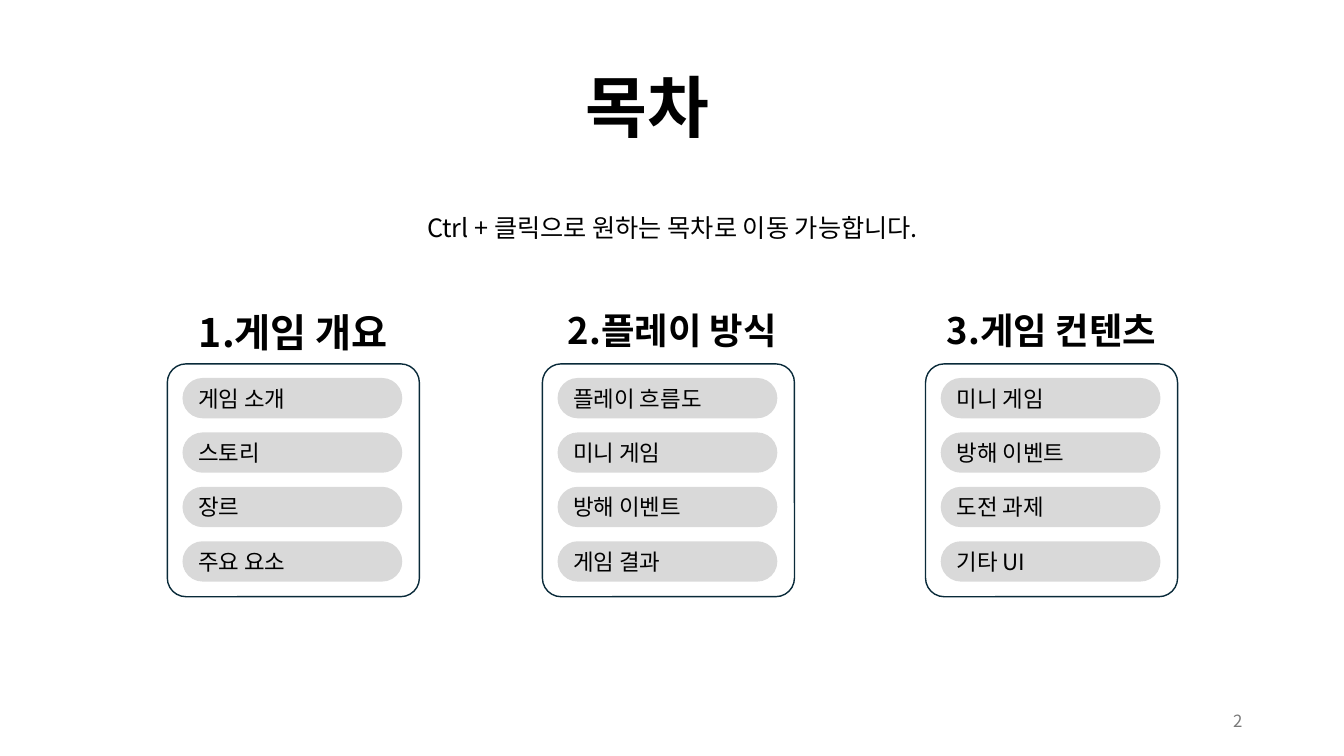
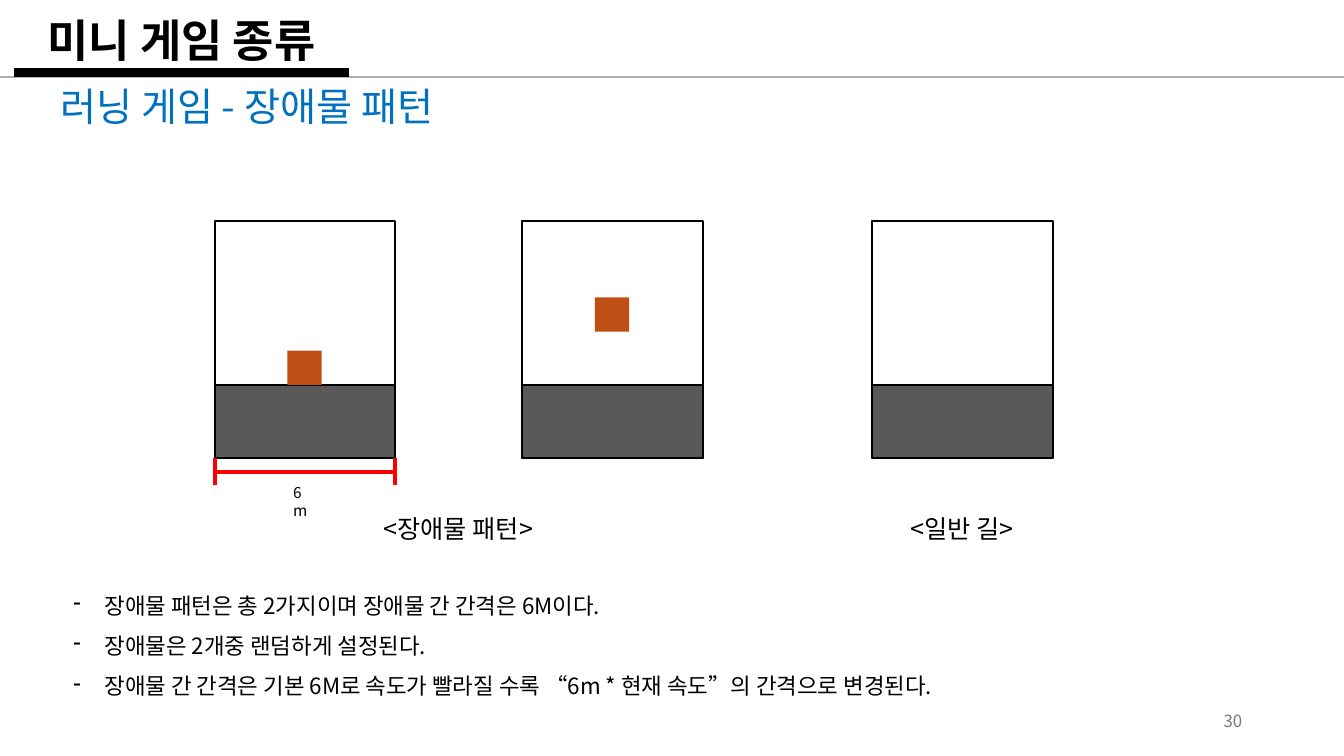
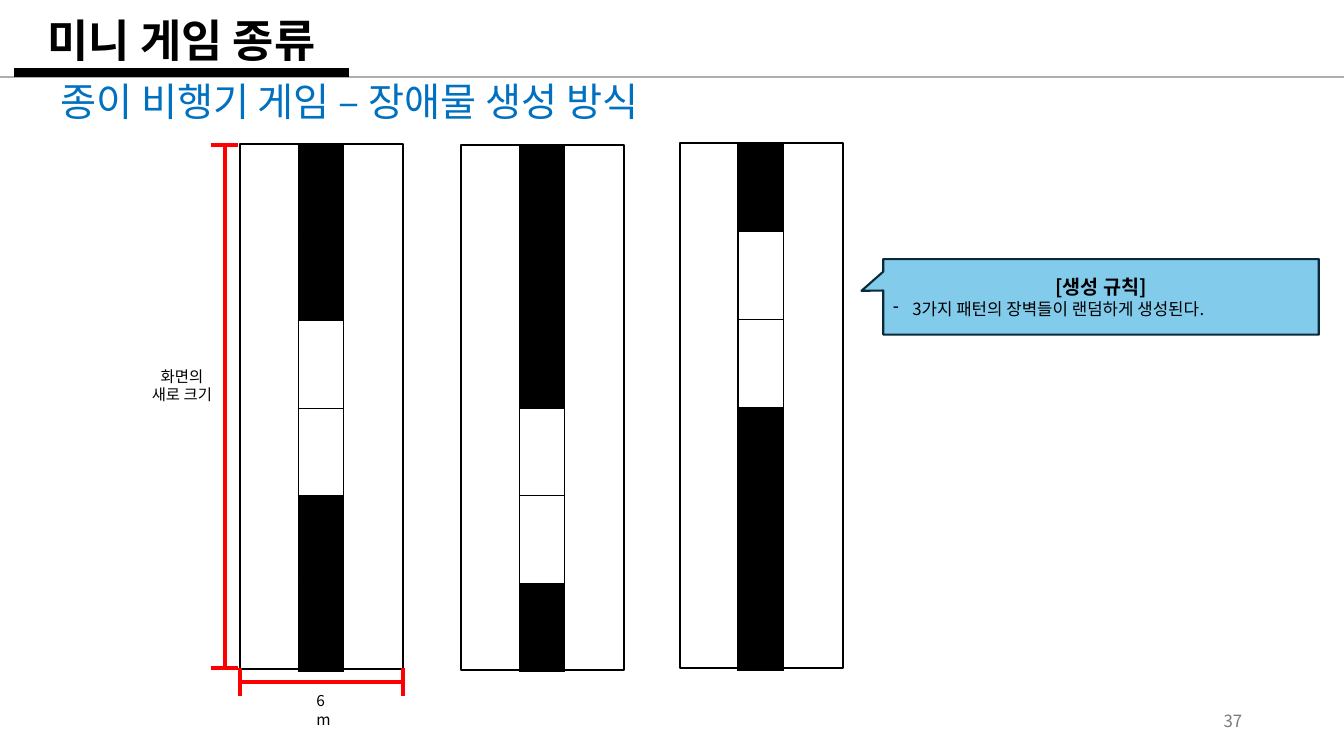
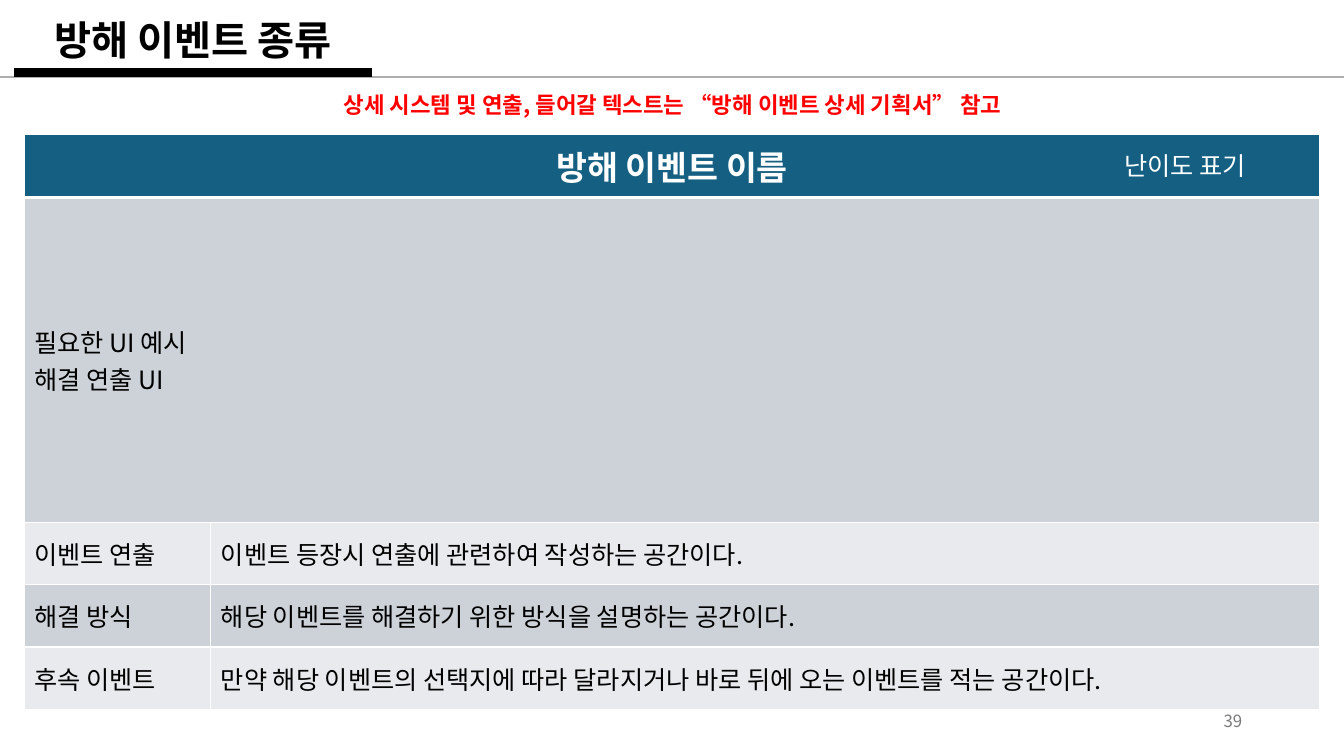
"""Build four pages of a game design document."""
from lxml import etree
from pptx import Presentation
from pptx.dml.color import RGBColor
from pptx.enum.shapes import MSO_CONNECTOR, MSO_SHAPE
from pptx.enum.text import MSO_ANCHOR as Anchor, PP_ALIGN as Align
from pptx.oxml.ns import qn
from pptx.util import Inches, Pt

FONT = "Noto Sans CJK KR"
BLACK = RGBColor(0x00, 0x00, 0x00)
WHITE = RGBColor(0xFF, 0xFF, 0xFF)
RED = RGBColor(0xFF, 0x00, 0x00)
BLUE = RGBColor(0x00, 0x70, 0xC0)
NAVY = RGBColor(0x09, 0x2A, 0x39)
TEAL = RGBColor(0x15, 0x60, 0x82)
SKY = RGBColor(0x83, 0xCB, 0xEB)
ORANGE = RGBColor(0xC0, 0x4F, 0x15)
RULE_GRAY = RGBColor(0xAE, 0xAE, 0xAE)
NUMBER_GRAY = RGBColor(0x79, 0x79, 0x79)
PILL_GRAY = RGBColor(0xD9, 0xD9, 0xD9)
GROUND_GRAY = RGBColor(0x59, 0x59, 0x59)
ROW_DARK = RGBColor(0xCC, 0xD2, 0xD8)
ROW_LIGHT = RGBColor(0xE8, 0xEA, 0xED)


def style_paragraph(para, size, color=BLACK, bold=False, align=Align.LEFT, spacing=None):
    """Format a paragraph and all its runs."""
    para.alignment = align
    if spacing:
        para.line_spacing = spacing
    for span in para.runs:
        font = span.font
        font.size = Pt(size)
        font.bold = bold
        font.color.rgb = color
        font.name = FONT
        east_asian = etree.Element(qn("a:ea"), typeface=FONT)
        font._element.find(qn("a:latin")).addnext(east_asian)


def add_dash_bullet(para, indent):
    """Give a paragraph a dash with a hanging indent."""
    properties = para._p.get_or_add_pPr()
    properties.set("marL", str(Inches(indent)))
    properties.set("indent", str(-Inches(indent)))
    etree.SubElement(properties, qn("a:buChar"), char="-")


def write(frame, text, size, anchor=Anchor.TOP, bullet=None, **style):
    """Put text in a frame, one paragraph a line."""
    frame.word_wrap = True
    frame.vertical_anchor = anchor
    frame.text = text
    for para in frame.paragraphs:
        if bullet:
            add_dash_bullet(para, bullet)
        style_paragraph(para, size, **style)


def add_text(page, at, text, size, **style):
    """Add a text box."""
    box = page.shapes.add_textbox(*map(Inches, at))
    write(box.text_frame, text, size, **style)


def add_box(page, at, fill, line=None, width=1.5, kind=MSO_SHAPE.RECTANGLE, adjust=()):
    """Add a filled preset shape with an optional outline."""
    box = page.shapes.add_shape(kind, *map(Inches, at))
    box.shadow.inherit = False
    for index, value in enumerate(adjust):
        box.adjustments[index] = value
    box.fill.solid()
    box.fill.fore_color.rgb = fill
    if line is None:
        box.line.fill.background()
    else:
        box.line.color.rgb = line
        box.line.width = Pt(width)
    return box


def add_line(page, start, end, color, width):
    """Add a straight line."""
    line = page.shapes.add_connector(MSO_CONNECTOR.STRAIGHT, *map(Inches, start + end))
    line.line.color.rgb = color
    line.line.width = Pt(width)
    etree.SubElement(line._element.spPr, qn("a:effectLst"))


def add_dimension(page, start, end, across, vertical=False):
    """Add a red measuring bar with a cap at each end."""
    far, middle = across + 0.27, across + 0.14
    for first, last in (((start, across), (start, far)),
                        ((end, across), (end, far)),
                        ((start, middle), (end, middle))):
        if vertical:
            first, last = first[::-1], last[::-1]
        add_line(page, first, last, RED, 3)


def add_page(deck, number):
    """Add a blank page with its number."""
    page = deck.slides.add_slide(deck.slide_layouts[6])
    add_text(page, (9.42, 6.95, 3, 0.4), number, 12, anchor=Anchor.MIDDLE,
             color=NUMBER_GRAY, align=Align.RIGHT)
    return page


def add_titled_page(deck, number, title, size=32, width=3.32):
    """Add a page with an underlined title."""
    page = add_page(deck, number)
    add_text(page, (0.14, 0.09, width, 0.67), title, size, anchor=Anchor.MIDDLE,
             bold=True, align=Align.CENTER, spacing=0.9)
    add_line(page, (0, 0.76), (13.33, 0.76), RULE_GRAY, 1.5)
    add_line(page, (0.14, 0.72), (0.14 + width, 0.72), BLACK, 6)
    return page


def add_table(page, left, top, columns, rows):
    """Add a table without banding and with the given sizes."""
    frame = page.shapes.add_table(len(rows), len(columns), Inches(left), Inches(top),
                                  Inches(sum(columns)), Inches(sum(rows)))
    table = frame.table
    table.first_row = table.horz_banding = False
    for column, width in zip(table.columns, columns):
        column.width = Inches(width)
    for row, height in zip(table.rows, rows):
        row.height = Inches(height)
    return table


def style_cell(cell, fill, line, top=1, bottom=1):
    """Set the borders and fill of a cell."""
    properties = cell._tc.get_or_add_tcPr()
    for side, width in (("L", 1), ("R", 1), ("T", top), ("B", bottom)):
        border = etree.SubElement(properties, qn(f"a:ln{side}"), w=str(Pt(width)))
        solid = etree.SubElement(border, qn("a:solidFill"))
        etree.SubElement(solid, qn("a:srgbClr"), val=str(line))
    if fill is None:
        cell.fill.background()
    else:
        cell.fill.solid()
        cell.fill.fore_color.rgb = fill


def add_chapter(page, left, heading, heading_left, heading_size, entries):
    """Add a contents card with its heading and entries."""
    add_box(page, (left, 3.61, 2.5, 2.31), WHITE, NAVY, 1,
            MSO_SHAPE.ROUNDED_RECTANGLE, [0.08])
    add_text(page, (heading_left, 3.01, 2.5, 0.54), heading, heading_size,
             bold=True, align=Align.CENTER)
    for index, entry in enumerate(entries):
        pill = add_box(page, (left + 0.15, 3.75 + 0.54 * index, 2.18, 0.4), PILL_GRAY,
                       kind=MSO_SHAPE.ROUNDED_RECTANGLE, adjust=[0.5])
        write(pill.text_frame, entry, 16, anchor=Anchor.MIDDLE)


def add_path(page, left, obstacle_top=None):
    """Add a stretch of path, with an obstacle if its height is given."""
    add_box(page, (left, 2.19, 1.79, 2.35), WHITE, BLACK)
    add_box(page, (left, 3.82, 1.79, 0.72), GROUND_GRAY, BLACK)
    if obstacle_top is not None:
        add_box(page, (left + 0.72, obstacle_top, 0.34, 0.34), ORANGE)


def add_wall(page, left, top, table_top, gap):
    """Add a screen with a wall of six blocks, open at two from the gap on."""
    add_box(page, (left, top, 1.62, 5.21), WHITE, BLACK)
    table = add_table(page, left + 0.58, table_top, [0.45], [0.87] * 6)
    for row in range(6):
        fill = None if row in (gap, gap + 1) else BLACK
        style_cell(table.cell(row, 0), fill, BLACK)


def build_contents(deck):
    """Build the contents page."""
    page = add_page(deck, "2")
    add_text(page, (2.63, 0.6, 7.59, 0.91), "목차", 48, bold=True, align=Align.CENTER)
    add_text(page, (3.84, 2.06, 5.66, 0.4), "Ctrl + 클릭으로 원하는 목차로 이동 가능합니다.",
             18, align=Align.CENTER)
    add_chapter(page, 1.66, "1.게임 개요", 1.66, 28,
                ["게임 소개", "스토리", "장르", "주요 요소"])
    add_chapter(page, 5.38, "2.플레이 방식", 5.42, 26,
                ["플레이 흐름도", "미니 게임", "방해 이벤트", "게임 결과"])
    add_chapter(page, 9.18, "3.게임 컨텐츠", 9.18, 26,
                ["미니 게임", "방해 이벤트", "도전 과제", "기타 UI"])


def build_running_game(deck):
    """Build the page on the obstacles of the running game."""
    page = add_titled_page(deck, "30", "미니 게임 종류")
    add_text(page, (0.5, 0.77, 4.45, 0.57), "러닝 게임 - 장애물 패턴", 28, color=BLUE)
    for left, obstacle_top in ((2.13, 3.48), (5.18, 2.95), (8.65, None)):
        add_path(page, left, obstacle_top)
    add_dimension(page, 2.13, 3.92, 4.54)
    add_text(page, (2.81, 4.74, 0.42, 0.29), "6m", 11)
    add_text(page, (3.59, 5.04, 1.91, 0.4), "<장애물 패턴>", 18, align=Align.CENTER)
    add_text(page, (8.84, 5.04, 1.4, 0.4), "<일반 길>", 18, align=Align.CENTER)
    rules = ["장애물 패턴은 총 2가지이며 장애물 간 간격은 6M이다.",
             "장애물은 2개중 랜덤하게 설정된다.",
             "장애물 간 간격은 기본 6M로 속도가 빨라질 수록 “6m * 현재 속도”의 간격으로 변경된다."]
    add_text(page, (0.63, 5.69, 9.47, 1.26), "\n".join(rules), 16, bullet=0.31, spacing=1.5)


def build_plane_game(deck):
    """Build the page on the walls of the paper plane game."""
    page = add_titled_page(deck, "37", "미니 게임 종류")
    add_text(page, (0.5, 0.72, 6.73, 0.57), "종이 비행기 게임 – 장애물 생성 방식", 28, color=BLUE)
    for left, top, table_top, gap in ((2.38, 1.43, 1.44, 2), (4.57, 1.44, 1.44, 3),
                                      (6.74, 1.42, 1.43, 1)):
        add_wall(page, left, top, table_top, gap)
    callout = add_box(page, (8.76, 2.57, 4.32, 0.75), SKY, NAVY,
                      kind=MSO_SHAPE.RECTANGULAR_CALLOUT, adjust=[-0.55, -0.08])
    frame = callout.text_frame
    write(frame, "[생성 규칙]", 14, anchor=Anchor.MIDDLE, bold=True, align=Align.CENTER)
    rule = frame.add_paragraph()
    rule.text = "3가지 패턴의 장벽들이 랜덤하게 생성된다."
    add_dash_bullet(rule, 0.19)
    style_paragraph(rule, 12)
    add_dimension(page, 2.38, 4, 6.63)
    add_text(page, (3.04, 6.81, 0.42, 0.29), "6m", 11)
    add_dimension(page, 1.44, 6.63, 2.09, vertical=True)
    add_text(page, (1.37, 3.59, 0.87, 0.47), "화면의\n새로 크기", 11, align=Align.CENTER)


def build_events(deck):
    """Build the page with the event sheet."""
    page = add_titled_page(deck, "39", "방해 이벤트 종류", 28.8, 3.55)
    rows = [["방해 이벤트 이름"],
            ["필요한 UI 예시\n해결 연출 UI"],
            ["이벤트 연출", "이벤트 등장시 연출에 관련하여 작성하는 공간이다."],
            ["해결 방식", "해당 이벤트를 해결하기 위한 방식을 설명하는 공간이다."],
            ["후속 이벤트", "만약 해당 이벤트의 선택지에 따라 달라지거나 바로 뒤에 오는 이벤트를 적는 공간이다."]]
    fills = [TEAL, ROW_DARK, ROW_LIGHT, ROW_DARK, ROW_LIGHT]
    table = add_table(page, 0.24, 1.33, [1.85, 11], [0.63, 3.22, 0.62, 0.62, 0.62])
    for index, (texts, fill) in enumerate(zip(rows, fills)):
        for cell in table.rows[index].cells:
            style_cell(cell, fill, WHITE, top=3 if index == 1 else 1,
                       bottom=3 if index == 0 else 1)
        if len(texts) == 1:
            table.cell(index, 0).merge(table.cell(index, 1))
        for column, text in enumerate(texts):
            cell = table.cell(index, column)
            cell.vertical_anchor = Anchor.MIDDLE
            cell.text_frame.text = text
            for para in cell.text_frame.paragraphs:
                if index == 0:
                    style_paragraph(para, 24, WHITE, True, Align.CENTER)
                else:
                    style_paragraph(para, 18)
    level = add_box(page, (10.43, 1.36, 2.65, 0.57), TEAL)
    write(level.text_frame, "난이도 표기", 18, anchor=Anchor.MIDDLE, color=WHITE,
          align=Align.CENTER)
    add_text(page, (3.01, 0.86, 7.32, 0.37),
             "상세 시스템 및 연출, 들어갈 텍스트는 “방해 이벤트 상세 기획서” 참고",
             16, color=RED, bold=True, align=Align.CENTER)


def main():
    """Build and save the deck."""
    deck = Presentation()
    deck.slide_width = Inches(13.33)
    deck.slide_height = Inches(7.5)
    build_contents(deck)
    build_running_game(deck)
    build_plane_game(deck)
    build_events(deck)
    deck.save("out.pptx")


if __name__ == "__main__":
    main()
